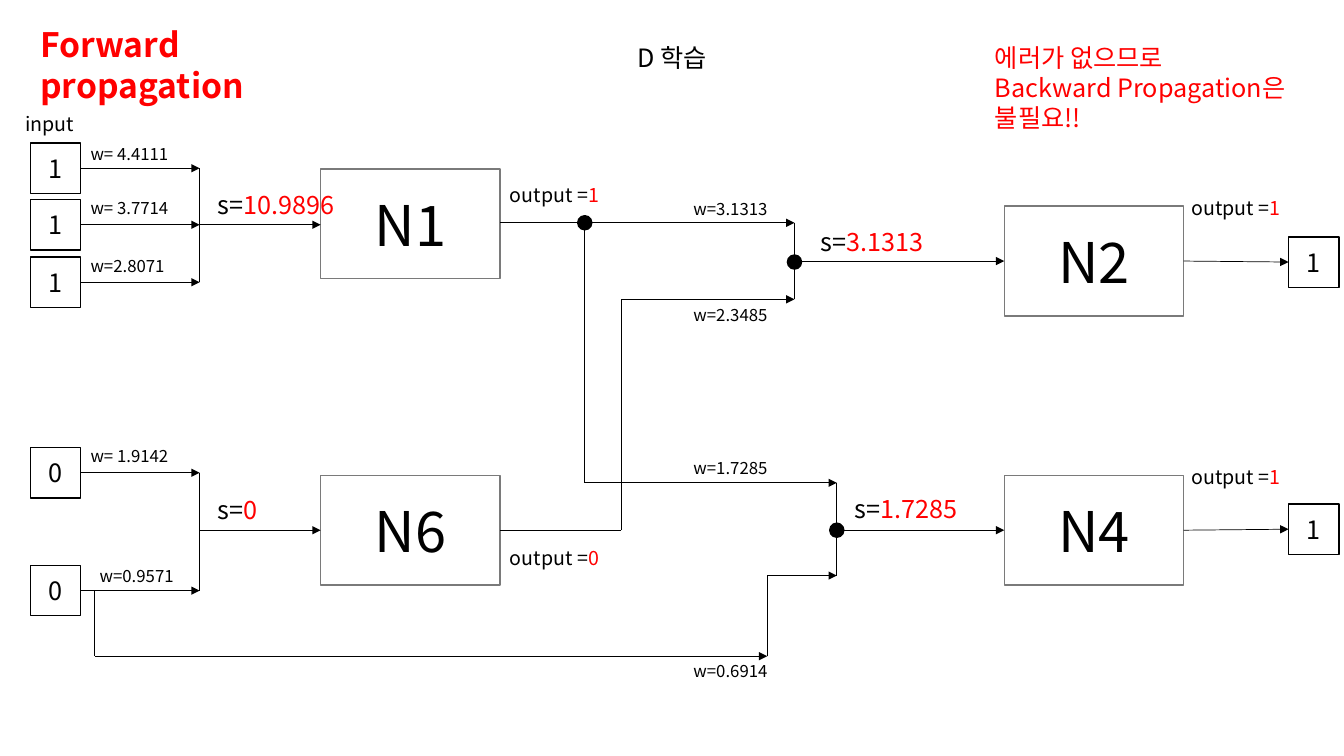
from dataclasses import dataclass

from lxml.etree import SubElement
from pptx import Presentation
from pptx.dml.color import RGBColor
from pptx.enum.shapes import MSO_CONNECTOR, MSO_SHAPE
from pptx.enum.text import MSO_ANCHOR, MSO_AUTO_SIZE, PP_ALIGN
from pptx.oxml.ns import qn
from pptx.util import Inches, Pt


@dataclass(frozen=True)
class Theme:
    """Colours, typeface and type sizes of the slide."""
    ink: RGBColor = RGBColor(0, 0, 0)
    accent: RGBColor = RGBColor(255, 0, 0)
    frame: RGBColor = RGBColor(0x7A, 0x7A, 0x7A)
    font: str = "Noto Sans CJK KR"
    neuron: int = 40
    title: int = 24
    body: int = 18
    output: int = 14
    weight: int = 12


theme = Theme()


def write(box, text, result="", size=theme.body, color=theme.ink, bold=False,
          align=PP_ALIGN.LEFT, anchor=MSO_ANCHOR.TOP, fit=MSO_AUTO_SIZE.NONE):
    """Put text, then an accented result, into a box; newlines part paragraphs."""
    frame = box.text_frame
    frame.word_wrap, frame.vertical_anchor, frame.auto_size = True, anchor, fit
    for index, line in enumerate(text.split("\n")):
        para = frame.add_paragraph() if index else frame.paragraphs[0]
        para.alignment = align
        for words, shade in ((line, color), (result, theme.accent)):
            if words:
                span = para.add_run()
                span.text = words
                span.font.name, span.font.size, span.font.bold = theme.font, Pt(size), bold
                span.font.color.rgb = shade
                SubElement(span.font._element, qn("a:ea"), typeface=theme.font)


def draw(kind, left, top, width, height, line=theme.ink, fill=None):
    """Add a preset shape with a one-point outline and an optional fill."""
    shape = page.shapes.add_shape(kind, Inches(left), Inches(top), Inches(width), Inches(height))
    shape.shadow.inherit = False
    shape.line.color.rgb, shape.line.width = line, Pt(1)
    if fill is None:
        shape.fill.background()
    else:
        shape.fill.solid()
        shape.fill.fore_color.rgb = fill
    return shape


deck = Presentation()
deck.slide_width, deck.slide_height = Inches(13.33), Inches(7.5)
page = deck.slides.add_slide(deck.slide_layouts[5])

# Columns and rows of the network grid
neuron_width, neuron_height, cell, dot = 1.78, 1.09, 0.5, 0.14
input_left, input_right, input_bus = 0.3, 0.8, 1.98
hidden_left, final_left, target_left = 3.18, 9.96, 12.78
hidden_right, final_right = hidden_left + neuron_width, final_left + neuron_width
n1_branch, n6_branch, n2_bus, n4_bus = 5.8, 6.16, 7.88, 8.3
bypass_left, bypass_right = 0.94, 7.61
n1_row, n2_row, lower_row = 2.22, 2.59, 5.26
upper_inputs = [1.67, 2.23, 2.8]
lower_inputs = [4.69, 5.86]
n2_top, n2_bottom, n4_top, n4_bottom, bypass_row = 2.21, 2.97, 4.79, 5.71, 6.51

# Neurons
for name, left, row in (("N1", hidden_left, n1_row), ("N6", hidden_left, lower_row),
                        ("N2", final_left, n2_row), ("N4", final_left, lower_row)):
    neuron = draw(MSO_SHAPE.RECTANGLE, left, row - neuron_height / 2,
                  neuron_width, neuron_height, line=theme.frame)
    write(neuron, name, size=theme.neuron, align=PP_ALIGN.CENTER, anchor=MSO_ANCHOR.MIDDLE)

# Wires: arrows carry a signal, plain wires join or split them
arrows = [((input_right, row), (input_bus, row)) for row in upper_inputs + lower_inputs] + [
    ((input_bus, 2.23), (hidden_left, 2.23)),
    ((input_bus, lower_row), (hidden_left, lower_row)),
    ((hidden_right, n2_top), (n2_bus, n2_top)),
    ((n6_branch, n2_bottom), (n2_bus, n2_bottom)),
    ((n2_bus, n2_row), (final_left, n2_row)),
    ((n1_branch, n4_top), (n4_bus, n4_top)),
    ((bypass_left, bypass_row), (bypass_right, bypass_row)),
    ((bypass_right, n4_bottom), (n4_bus, n4_bottom)),
    ((n4_bus, lower_row), (final_left, lower_row)),
    ((final_right, n2_row), (target_left, n2_row + 0.01)),
    ((final_right, lower_row), (target_left, lower_row - 0.01)),
]
joints = [
    ((input_bus, upper_inputs[0]), (input_bus, upper_inputs[-1])),
    ((input_bus, lower_inputs[0]), (input_bus, lower_inputs[-1])),
    ((n2_bus, n2_top), (n2_bus, n2_bottom)),
    ((n4_bus, n4_top), (n4_bus, n4_bottom)),
    ((n1_branch, n2_top), (n1_branch, n4_top)),
    ((hidden_right, lower_row), (n6_branch, lower_row)),
    ((n6_branch, lower_row), (n6_branch, n2_bottom)),
    ((bypass_left, lower_inputs[-1]), (bypass_left, bypass_row)),
    ((bypass_right, bypass_row), (bypass_right, n4_bottom)),
]
for start, end in arrows + joints:
    wire = page.shapes.add_connector(MSO_CONNECTOR.STRAIGHT, *map(Inches, start + end))
    wire.line.color.rgb, wire.line.width = theme.ink, Pt(0.5)
    if (start, end) in arrows:
        SubElement(wire.line._get_or_add_ln(), qn("a:tailEnd"), type="triangle")
    SubElement(wire._element.spPr, qn("a:effectLst"))

for column, row in ((n1_branch, n2_top), (n2_bus, n2_row + 0.01), (n4_bus, lower_row)):
    draw(MSO_SHAPE.OVAL, column - dot / 2, row - dot / 2, dot, dot, fill=theme.ink)

# Input and target values
values = [("1", input_left, row) for row in upper_inputs]
values += [("0", input_left, row) for row in lower_inputs]
values += [("1", target_left, 2.6), ("1", target_left, 5.25)]
for value, left, row in values:
    square = draw(MSO_SHAPE.RECTANGLE, left, row - cell / 2, cell, cell)
    write(square, value, align=PP_ALIGN.CENTER, anchor=MSO_ANCHOR.MIDDLE)

# Labels: text, result, left, top, width, height, size
weights = [
    ("w= 4.4111", 0.8, 1.38), ("w= 3.7714", 0.8, 1.91), ("w=2.8071", 0.8, 2.49),
    ("w= 1.9142", 0.8, 4.37), ("w=0.9571", 0.89, 5.56), ("w=3.1313", 6.78, 1.92),
    ("w=2.3485", 6.78, n2_bottom), ("w=1.7285", 6.78, 4.49), ("w=0.6914", 6.78, bypass_row),
]
sums = [("10.9896", 2.06, 1.83, 1.49), ("0", 2.06, 4.86, 1.23),
        ("3.1313", 8.04, 2.2, 1.42), ("1.7285", 8.38, 4.84, 1.23)]
outputs = [("1", hidden_right, 1.77), ("0", hidden_right, 5.37),
           ("1", 11.72, 1.89), ("1", 11.72, 4.56)]
labels = [(text, "", left, top, 1.1, 0.3, theme.weight) for text, left, top in weights]
labels += [("s=", result, left, top, width, 0.4, theme.body) for result, left, top, width in sums]
labels += [("output =", result, left, top, 1.23, 0.34, theme.output)
           for result, left, top in outputs]
labels.append(("input", "", 0.15, 1.06, 0.81, 0.34, theme.output))
for text, result, left, top, width, height, size in labels:
    label = page.shapes.add_textbox(*map(Inches, (left, top, width, height)))
    write(label, text, result, size=size, fit=MSO_AUTO_SIZE.SHAPE_TO_FIT_TEXT)

# Headings
title = page.shapes.title
title.left, title.top, title.width, title.height = map(Inches, (0.3, 0.19, 2.33, 0.91))
write(title, "Forward propagation", size=theme.title, color=theme.accent, bold=True)

subject = page.shapes.add_textbox(*map(Inches, (3.26, 0.37, 6.82, 0.4)))
write(subject, "D 학습", align=PP_ALIGN.CENTER, anchor=MSO_ANCHOR.MIDDLE)

remark = page.shapes.add_textbox(*map(Inches, (9.77, 0.37, 3.18, 1.01)))
write(remark, "에러가 없으므로\nBackward Propagation은 불필요!!", color=theme.accent)

deck.save("out.pptx")
